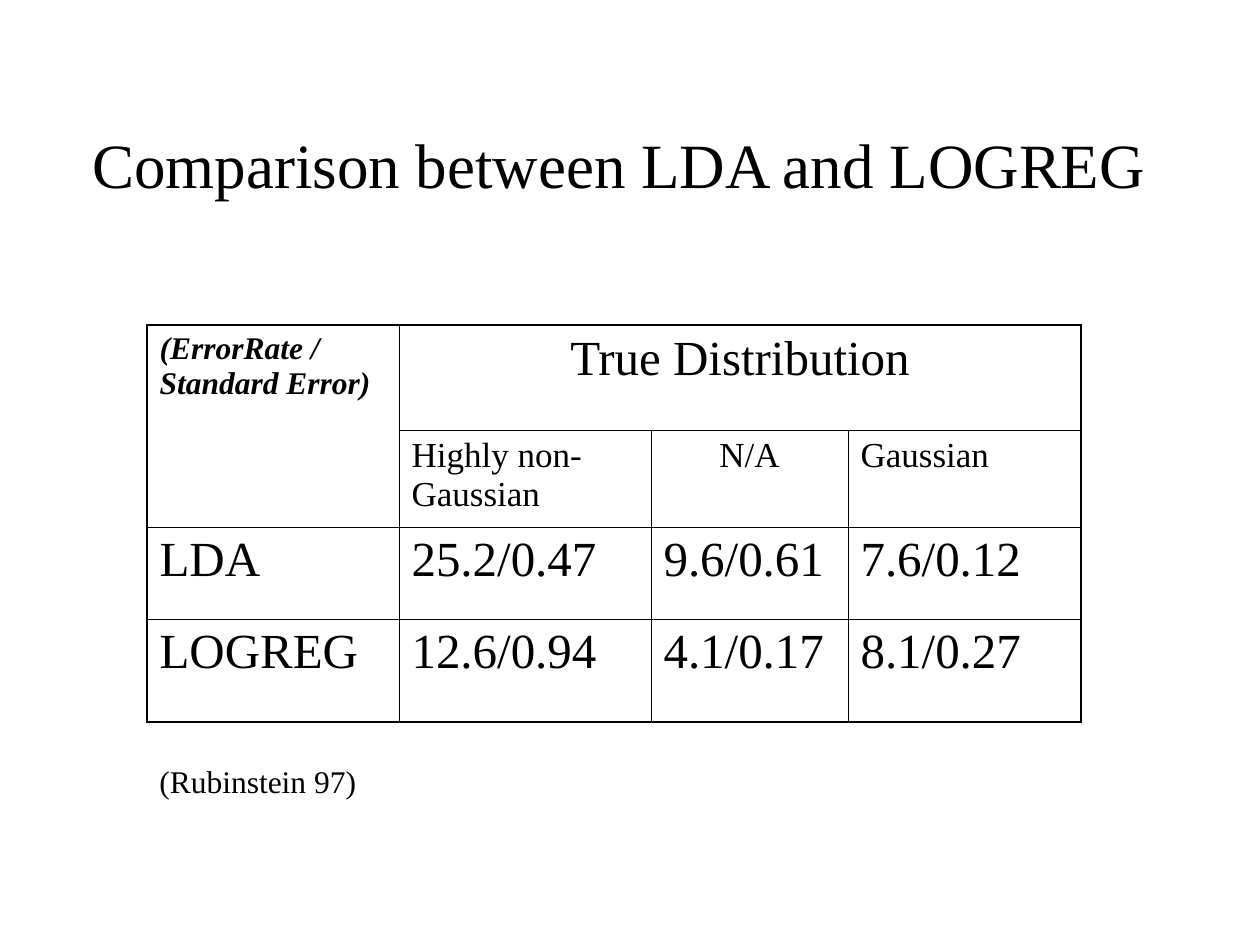
from lxml import etree
from pptx import Presentation
from pptx.dml.color import RGBColor
from pptx.enum.text import MSO_ANCHOR, MSO_AUTO_SIZE, PP_ALIGN
from pptx.oxml.ns import qn
from pptx.util import Emu, Pt

LEFT, CENTER = PP_ALIGN.LEFT, PP_ALIGN.CENTER
MIDDLE, TOP = MSO_ANCHOR.MIDDLE, MSO_ANCHOR.TOP
FIT_SHAPE, NO_FIT = MSO_AUTO_SIZE.SHAPE_TO_FIT_TEXT, MSO_AUTO_SIZE.NONE

# Content: table cells are (text, style); None continues a merged cell
TITLE = "Comparison between LDA and LOGREG"
CITATION = "(Rubinstein 97)"
ERROR_RATES = [
    [("(ErrorRate / Standard Error)", "corner"), ("True Distribution", "heading"), None, None],
    [None, ("Highly non-Gaussian", "group"), ("N/A", "group_mid"), ("Gaussian", "group")],
    [(text, "value") for text in ("LDA", "25.2/0.47", "9.6/0.61", "7.6/0.12")],
    [(text, "value") for text in ("LOGREG", "12.6/0.94", "4.1/0.17", "8.1/0.27")],
]
MERGES = [((0, 0), (1, 0)), ((0, 1), (0, 3))]

# Style: size, space before, alignment, bold italic
THEME = {
    "font": "Times New Roman",
    "ink": "000000",
    "outer_line": 1.08,
    "inner_line": 0.45,
    "title": (36, 0, CENTER, False),
    "citation": (18, 11.2, LEFT, False),
    "corner": (18, 4.5, LEFT, True),
    "heading": (28, 7, CENTER, False),
    "group": (20, 5, LEFT, False),
    "group_mid": (20, 5, CENTER, False),
    "value": (28, 7, LEFT, False),
}

# Geometry in pixels
SCALE = 914400 / 126
SLIDE_SIZE = (1260, 945)
TITLE_BOX = (73, 84, 1092, 158)
CITATION_BOX = (147, 756, 231, 50)
TABLE_ORIGIN = (147, 325)
COLUMN_WIDTHS = [252, 252, 197, 233]
ROW_HEIGHTS = [105, 97, 92, 103]


def px(value):
    return Emu(round(value * SCALE))


def write(frame, text, style):
    size, before, align, emphasis = THEME[style]
    paragraph = frame.paragraphs[0]
    paragraph.alignment = align
    paragraph.space_before = Pt(before)
    run = paragraph.add_run()
    run.text = text
    run.font.name = THEME["font"]
    run.font.size = Pt(size)
    run.font.bold = run.font.italic = emphasis
    run.font.color.rgb = RGBColor.from_string(THEME["ink"])


def add_label(slide, box, text, style, anchor, fit):
    frame = slide.shapes.add_textbox(*map(px, box)).text_frame
    frame.word_wrap = True
    frame.auto_size = fit
    frame.vertical_anchor = anchor
    write(frame, text, style)


def add_borders(cell, row, column):
    on_edge = {
        "a:lnL": column == 0,
        "a:lnR": column + cell.span_width == len(COLUMN_WIDTHS),
        "a:lnT": row == 0,
        "a:lnB": row + cell.span_height == len(ROW_HEIGHTS),
    }
    properties = cell._tc.get_or_add_tcPr()
    for side, outer in on_edge.items():
        width = THEME["outer_line" if outer else "inner_line"]
        line = etree.SubElement(properties, qn(side), w=str(Pt(width)))
        fill = etree.SubElement(line, qn("a:solidFill"))
        etree.SubElement(fill, qn("a:srgbClr"), val=THEME["ink"])


prs = Presentation()
prs.slide_width, prs.slide_height = map(px, SLIDE_SIZE)
slide = prs.slides.add_slide(prs.slide_layouts[6])

# Title and citation
add_label(slide, TITLE_BOX, TITLE, "title", MIDDLE, NO_FIT)
add_label(slide, CITATION_BOX, CITATION, "citation", TOP, FIT_SHAPE)

# Error rate table
table_size = (sum(COLUMN_WIDTHS), sum(ROW_HEIGHTS))
table = slide.shapes.add_table(
    len(ROW_HEIGHTS), len(COLUMN_WIDTHS), *map(px, TABLE_ORIGIN + table_size)
).table
table.first_row = table.horz_banding = False
for column, width in zip(table.columns, COLUMN_WIDTHS):
    column.width = px(width)
for row, height in zip(table.rows, ROW_HEIGHTS):
    row.height = px(height)
for first, last in MERGES:
    table.cell(*first).merge(table.cell(*last))

for r, entries in enumerate(ERROR_RATES):
    for c, entry in enumerate(entries):
        cell = table.cell(r, c)
        if entry:
            add_borders(cell, r, c)
            write(cell.text_frame, *entry)
        cell.fill.background()

prs.save("out.pptx")
